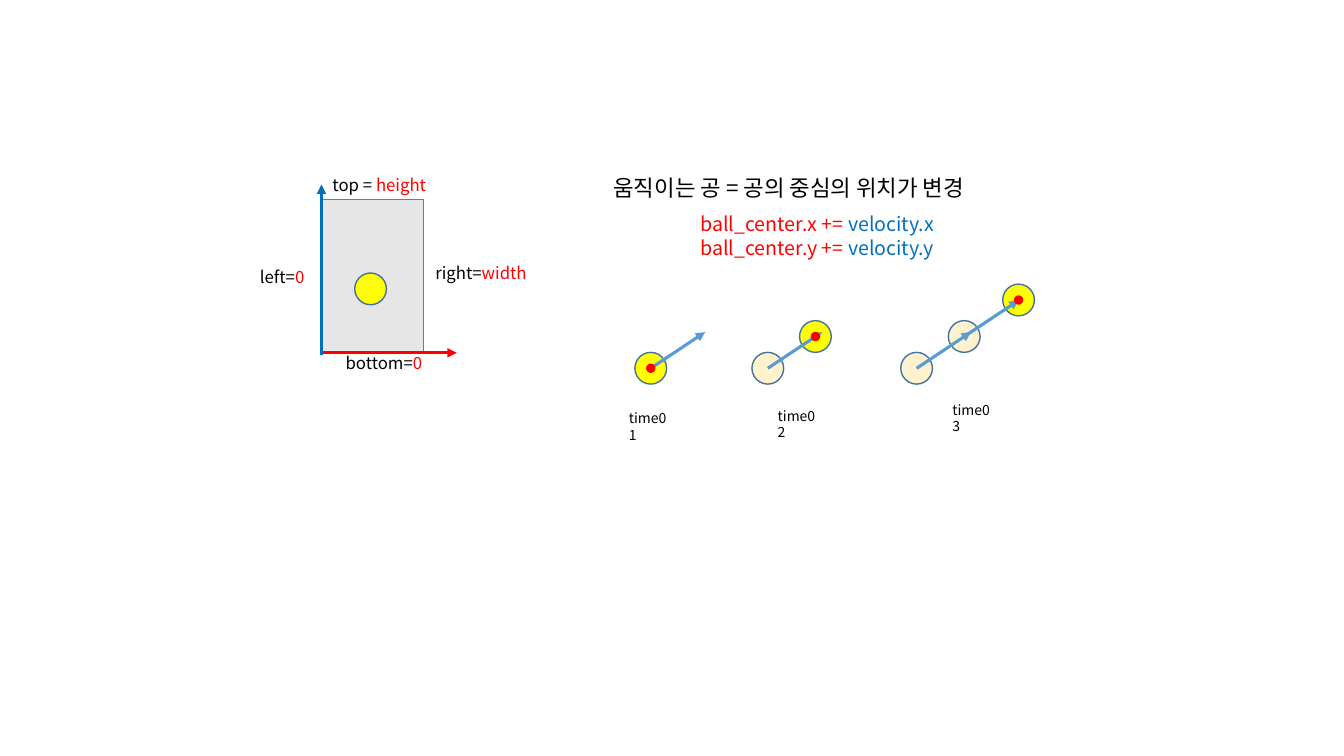
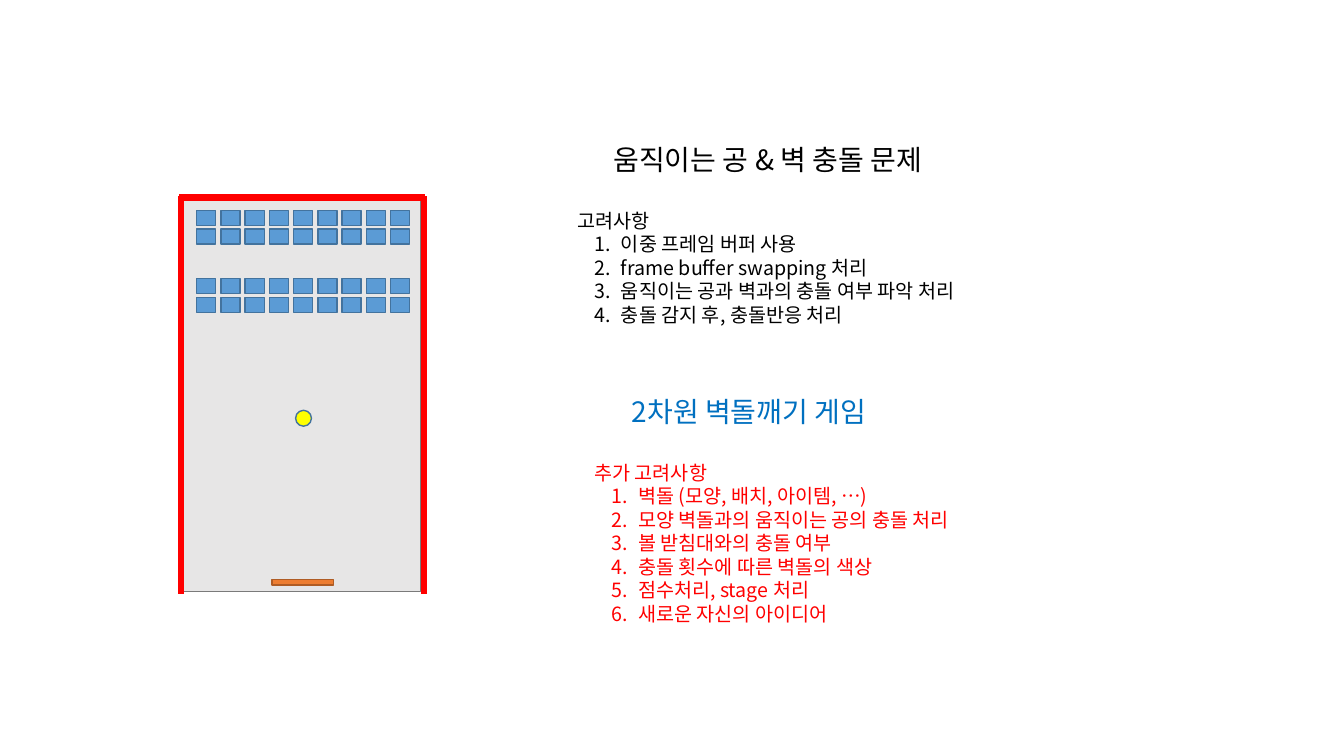
from dataclasses import dataclass

import pptx
import pptx.dml.color
import pptx.enum.shapes
import pptx.enum.text
import pptx.oxml.ns
import pptx.oxml.xmlchemy
import pptx.util
from lxml import etree

Cm = pptx.util.Cm
Pt = pptx.util.Pt
RECTANGLE = pptx.enum.shapes.MSO_SHAPE.RECTANGLE
OVAL = pptx.enum.shapes.MSO_SHAPE.OVAL
qn = pptx.oxml.ns.qn

FONT = "Noto Sans CJK KR"
COLORS = {
    "ink": "000000",
    "red": "FF0000",
    "blue": "0070C0",
    "vector": "5B9BD5",
    "outline": "43739E",
    "yellow": "FFFF00",
    "trail": "FFF2CC",
    "field": "E7E6E6",
    "field_edge": "7A7A7A",
    "paddle": "ED7D31",
    "paddle_edge": "AF5C24",
}
FRAME_FORMAT = {
    "word_wrap": True,
    "auto_size": pptx.enum.text.MSO_AUTO_SIZE.SHAPE_TO_FIT_TEXT,
    "vertical_anchor": pptx.enum.text.MSO_ANCHOR.TOP,
    "margin_left": Cm(0.25),
    "margin_right": Cm(0.25),
    "margin_top": Cm(0.13),
    "margin_bottom": Cm(0.13),
}
BALL_SIZE = 0.8
DOT_SIZE = 0.2
VELOCITY = (1.37, -0.91)

Point = tuple[float, float]


@dataclass(frozen=True)
class Run:
    text: str
    color: str = "ink"


@dataclass(frozen=True)
class Line:
    runs: tuple[Run, ...]
    numbered: bool = False


@dataclass(frozen=True)
class TextBlock:
    left: float
    top: float
    width: float
    height: float
    size: int
    lines: tuple[Line, ...]


@dataclass(frozen=True)
class Moment:
    centers: tuple[Point, ...]
    label: str
    label_at: Point


@dataclass(frozen=True)
class Stroke:
    start: Point
    end: Point
    color: str
    width: float
    arrow: bool = False


def rgb(color: str) -> pptx.dml.color.RGBColor:
    return pptx.dml.color.RGBColor.from_string(COLORS[color])


def line(*parts: tuple[str, str]) -> Line:
    return Line(tuple(Run(text, color) for text, color in parts))


def checklist(title: str, items: tuple[str, ...], color: str) -> tuple[Line, ...]:
    numbered = tuple(Line((Run(item, color),), True) for item in items)
    return (line((title, color)), *numbered)


def number_paragraph(paragraph) -> None:
    properties = paragraph._p.get_or_add_pPr()
    properties.set("marL", str(Cm(1.1)))
    properties.set("indent", str(-Cm(0.66)))
    etree.SubElement(properties, qn("a:buFont"), typeface=FONT)
    etree.SubElement(properties, qn("a:buAutoNum"), type="arabicPeriod")


def add_text(slide, block: TextBlock) -> None:
    bounds = (block.left, block.top, block.width, block.height)
    frame = slide.shapes.add_textbox(*map(Cm, bounds)).text_frame
    for attribute, value in FRAME_FORMAT.items():
        setattr(frame, attribute, value)
    for index, content in enumerate(block.lines):
        paragraph = frame.add_paragraph() if index else frame.paragraphs[0]
        paragraph.line_spacing = Pt(block.size * 1.2)
        if content.numbered:
            number_paragraph(paragraph)
        for part in content.runs:
            run = paragraph.add_run()
            run.text = part.text
            for attribute, value in {"name": FONT, "size": Pt(block.size)}.items():
                setattr(run.font, attribute, value)
            run.font.color.rgb = rgb(part.color)
            etree.SubElement(run._r.get_or_add_rPr(), qn("a:ea"), typeface=FONT)


def add_solid(slide, kind, bounds: tuple[float, ...], fill: str, edge: str) -> None:
    solid = slide.shapes.add_shape(kind, *map(Cm, bounds))
    solid.shadow.inherit = False
    solid.fill.solid()
    solid.fill.fore_color.rgb = rgb(fill)
    solid.line.color.rgb = rgb(edge)
    solid.line.width = Pt(1)


def add_disc(slide, center: Point, size: float, fill: str, edge: str = "outline") -> None:
    x, y = center
    add_solid(slide, OVAL, (x - size / 2, y - size / 2, size, size), fill, edge)


def add_stroke(slide, stroke: Stroke) -> None:
    connector = slide.shapes.add_connector(
        pptx.enum.shapes.MSO_CONNECTOR.STRAIGHT, *map(Cm, stroke.start + stroke.end)
    )
    connector.line.color.rgb = rgb(stroke.color)
    connector.line.width = Pt(stroke.width)
    properties = connector._element.spPr
    if stroke.arrow:
        etree.SubElement(properties.find(qn("a:ln")), qn("a:tailEnd"), type="triangle")
    etree.SubElement(properties, qn("a:effectLst"))


def add_moment(slide, moment: Moment) -> None:
    *past, current = moment.centers
    for center in past:
        add_disc(slide, center, BALL_SIZE, "trail")
    add_disc(slide, current, BALL_SIZE, "yellow")
    for x, y in past or [current]:
        tip = (x + VELOCITY[0], y + VELOCITY[1])
        add_stroke(slide, Stroke((x, y), tip, "vector", 2.25, True))
    add_disc(slide, current, DOT_SIZE, "red", "red")
    label = line((moment.label, "ink"))
    add_text(slide, TextBlock(*moment.label_at, 1.63, 0.68, 10, (label,)))


def build_motion_slide(slide) -> None:
    edges = (
        (8.13, 4.27, 3.43, "top = ", "height"),
        (8.46, 8.76, 2.74, "bottom=", "0"),
        (6.3, 6.6, 1.98, "left=", "0"),
        (10.72, 6.5, 3.5, "right=", "width"),
    )
    for left, top, width, side, value in edges:
        label = line((side, "ink"), (value, "red"))
        add_text(slide, TextBlock(left, top, width, 0.76, 12, (label,)))
    add_solid(slide, RECTANGLE, (8.1, 5.03, 2.57, 3.86), "field", "field_edge")
    axes = (
        Stroke((8.1, 8.89), (11.51, 8.89), "red", 2.25, True),
        Stroke((8.1, 8.94), (8.1, 4.65), "blue", 2.25, True),
    )
    for axis in axes:
        add_stroke(slide, axis)
    add_disc(slide, (9.34, 7.28), BALL_SIZE, "yellow")

    heading = line(("움직이는 공 = 공의 중심의 위치가 변경", "ink"))
    add_text(slide, TextBlock(15.21, 4.27, 10.87, 0.94, 16, (heading,)))
    updates = tuple(
        line((f"ball_center.{axis} += ", "red"), (f"velocity.{axis}", "blue"))
        for axis in "xy"
    )
    add_text(slide, TextBlock(17.4, 5.21, 6.6, 2.06, 14, updates))

    moments = (
        Moment(((16.4, 9.28),), "time01", (15.6, 10.19)),
        Moment(((19.35, 9.28), (20.55, 8.48)), "time02", (19.35, 10.13)),
        Moment(((23.1, 9.28), (24.3, 8.48), (25.67, 7.56)), "time03", (23.75, 9.98)),
    )
    for moment in moments:
        add_moment(slide, moment)


def build_collision_slide(slide) -> None:
    add_solid(slide, RECTANGLE, (4.6, 4.9, 6, 10.01), "field", "field_edge")
    considerations = checklist(
        "고려사항",
        (
            "이중 프레임 버퍼 사용",
            "frame buffer swapping 처리",
            "움직이는 공과 벽과의 충돌 여부 파악 처리",
            "충돌 감지 후, 충돌반응 처리",
        ),
        "ink",
    )
    extras = checklist(
        "추가 고려사항",
        (
            "벽돌 (모양, 배치, 아이템, …)",
            "모양 벽돌과의 움직이는 공의 충돌 처리",
            "볼 받침대와의 충돌 여부",
            "충돌 횟수에 따른 벽돌의 색상",
            "점수처리, stage 처리",
            "새로운 자신의 아이디어",
        ),
        "red",
    )
    problem = line(("움직이는 공 & 벽 충돌 문제", "ink"))
    game = line(("2차원 벽돌깨기 게임", "blue"))
    blocks = (
        TextBlock(15.21, 3.45, 9.73, 1.12, 20, (problem,)),
        TextBlock(14.3, 5.13, 11.56, 3.25, 14, considerations),
        TextBlock(15.67, 9.8, 7.34, 1.12, 20, (game,)),
        TextBlock(14.73, 11.48, 11.56, 4.45, 14, extras),
    )
    for block in blocks:
        add_text(slide, block)

    for group_top in (5.3, 7.02):
        for row in range(2):
            for column in range(9):
                brick = (4.96 + column * 0.61, group_top + row * 0.47, 0.48, 0.38)
                add_solid(slide, RECTANGLE, brick, "vector", "outline")
    add_disc(slide, (7.65, 10.54), 0.4, "yellow")
    add_solid(slide, RECTANGLE, (6.86, 14.61, 1.55, 0.13), "paddle", "paddle_edge")

    walls = (
        Stroke((10.69, 4.95), (10.69, 14.96), "red", 4.5),
        Stroke((4.57, 4.95), (4.57, 14.96), "red", 4.5),
        Stroke((4.52, 4.98), (10.72, 4.98), "red", 4.5),
    )
    for wall in walls:
        add_stroke(slide, wall)


def main() -> None:
    deck = pptx.Presentation()
    deck.slide_width = Cm(33.87)
    deck.slide_height = Cm(19.05)
    blank = deck.slide_layouts[6]
    for build in (build_motion_slide, build_collision_slide):
        build(deck.slides.add_slide(blank))
    deck.save("out.pptx")


if __name__ == "__main__":
    main()
